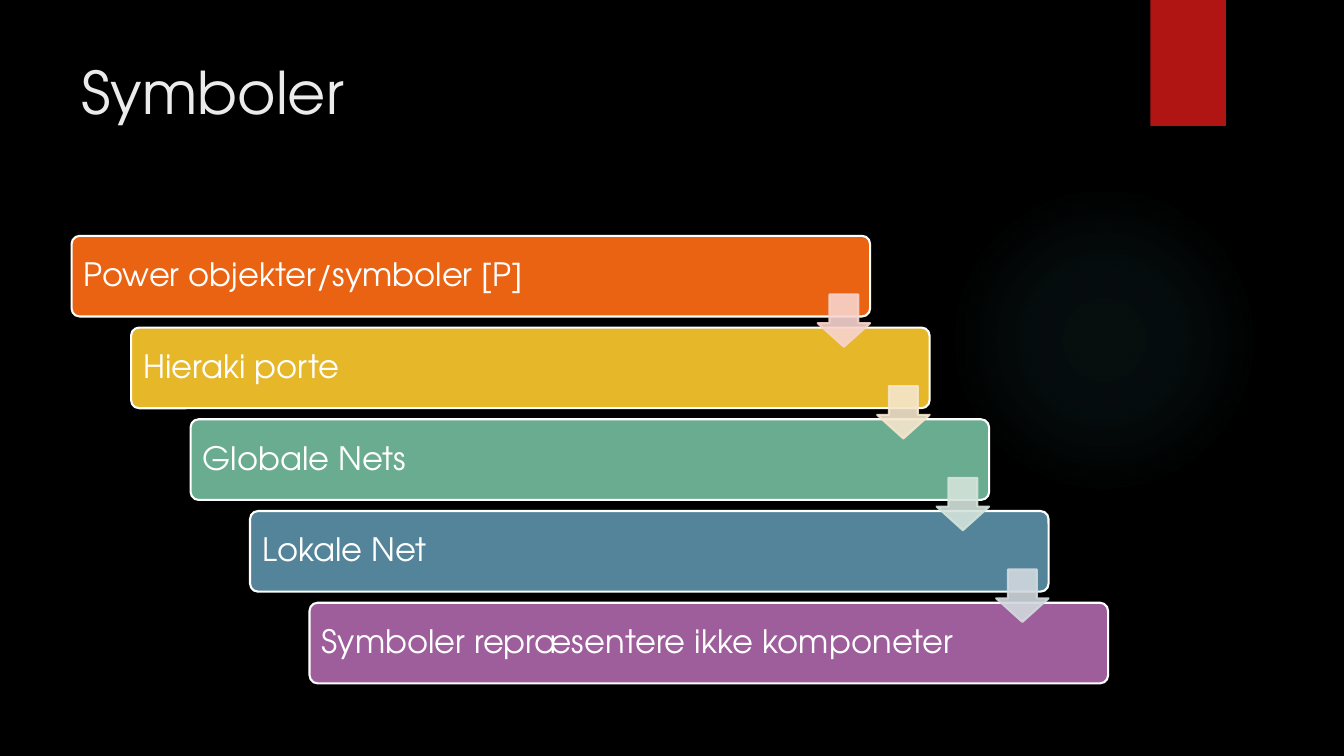
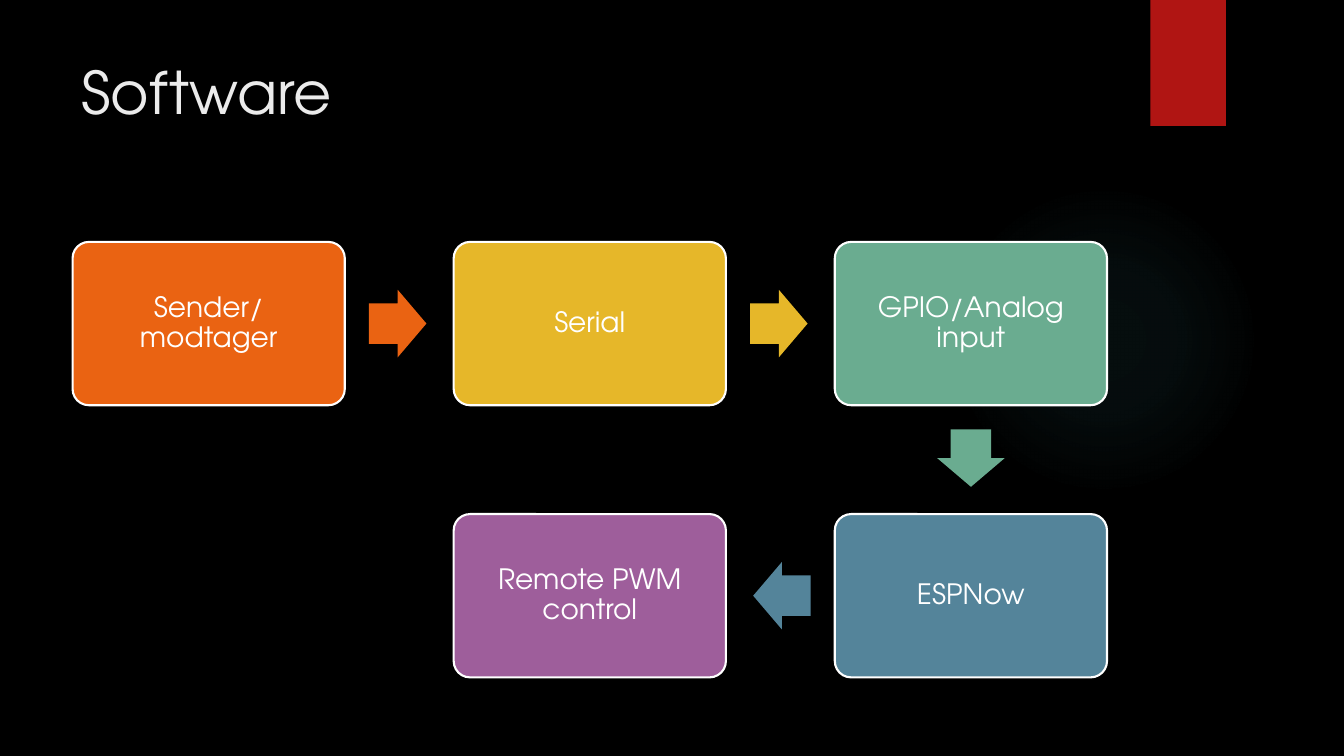
import math

import pptx
import pptx.dml.color
import pptx.enum.shapes
import pptx.enum.text
import pptx.oxml
import pptx.oxml.ns
import pptx.util
from pptx.util import Inches

# Content
STAIRCASE = {
    "title": "Symboler",
    "steps": [
        ("Power objekter/symboler [P]", "orange", "pale_orange"),
        ("Hieraki porte", "yellow", "pale_yellow"),
        ("Globale Nets", "green", "pale_green"),
        ("Lokale Net", "blue", "pale_blue"),
        ("Symboler repræsentere ikke komponeter", "purple", None),
    ],
}
PROCESS = {
    "title": "Software",
    "steps": [  # text, colour, column, row
        ("Sender/modtager", "orange", 0, 0),
        ("Serial", "yellow", 1, 0),
        ("GPIO/Analog input", "green", 2, 0),
        ("ESPNow", "blue", 2, 1),
        ("Remote PWM control", "purple", 1, 1),
    ],
}

# Shared style
FONT = "TeX Gyre Adventor"
COLOURS = {
    "background": "000000", "band": "B01513", "glow": "50B9C1",
    "title": "EBEBEB", "white": "FFFFFF",
    "orange": "EA6312", "yellow": "E6B729", "green": "6AAC90",
    "blue": "54849A", "purple": "9E5E9B",
    "pale_orange": "F7D3CC", "pale_yellow": "F5E6CD",
    "pale_green": "D4E3DB", "pale_blue": "D1D9DE",
}
GLOW_STOPS = [(0, 7), (36, 6), (69, 0)]  # position and opacity in percent
SHAPES = pptx.enum.shapes.MSO_SHAPE
ANCHORS = pptx.enum.text.MSO_ANCHOR
ALIGNMENTS = pptx.enum.text.PP_ALIGN


def rgb(name):
    return pptx.dml.color.RGBColor.from_string(COLOURS[name])


def write_text(shape, text, size, colour="white", align=ALIGNMENTS.LEFT,
               anchor=ANCHORS.MIDDLE, margin=0.1, spacing=0.9):
    frame = shape.text_frame
    frame.word_wrap = True
    frame.vertical_anchor = anchor
    frame.margin_left = frame.margin_right = Inches(margin)
    frame.margin_top = frame.margin_bottom = Inches(margin)
    paragraph = frame.paragraphs[0]
    paragraph.alignment = align
    paragraph.line_spacing = spacing
    run = paragraph.add_run()
    run.text = text
    run.font.name = FONT
    run.font.size = pptx.util.Pt(size)
    run.font.color.rgb = rgb(colour)


def add_shape(slide, kind, box, fill, line=None, adjustments=()):
    shape = slide.shapes.add_shape(kind, *(Inches(value) for value in box))
    shape.shadow.inherit = False
    shape.fill.solid()
    shape.fill.fore_color.rgb = rgb(fill)
    if line:
        shape.line.color.rgb = rgb(line)
        shape.line.width = pptx.util.Pt(1.5)
    else:
        shape.line.fill.background()
    for index, value in enumerate(adjustments):
        shape.adjustments[index] = value
    return shape


def set_opacity(shape, percent):
    for colour in shape.fill._xPr.iter(pptx.oxml.ns.qn("a:srgbClr")):
        alpha = colour.makeelement(pptx.oxml.ns.qn("a:alpha"), {"val": str(percent * 1000)})
        colour.append(alpha)


def add_glow(slide):
    glow = add_shape(slide, SHAPES.OVAL, (9.41, 1.83, 3.08, 3.08), "glow")
    stops = "".join(
        f'<a:gs pos="{position * 1000}"><a:srgbClr val="{COLOURS["glow"]}">'
        f'<a:alpha val="{opacity * 1000}"/></a:srgbClr></a:gs>'
        for position, opacity in GLOW_STOPS)
    gradient = pptx.oxml.parse_xml(
        f'<a:gradFill {pptx.oxml.ns.nsdecls("a")}><a:gsLst>{stops}</a:gsLst>'
        '<a:path path="circle"><a:fillToRect l="50000" t="50000" r="50000" b="50000"/>'
        '</a:path></a:gradFill>')
    properties = glow._element.spPr
    solid = properties.find(pptx.oxml.ns.qn("a:solidFill"))
    properties.replace(solid, gradient)


def add_slide(presentation, title):
    """Add a slide with the glow, the red band and the title."""
    slide = presentation.slides.add_slide(presentation.slide_layouts[6])
    add_glow(slide)
    add_shape(slide, SHAPES.RECTANGLE, (11.41, 0, 0.75, 1.25), "band")
    title_box = slide.shapes.add_textbox(
        Inches(0.71), Inches(0.5), Inches(10.29), Inches(1.53))
    write_text(title_box, title, 42, colour="title", anchor=ANCHORS.TOP,
               margin=0.1, spacing=1.0)
    title_box.text_frame.margin_top = Inches(0.05)
    return slide


def build_staircase(presentation):
    slide = add_slide(presentation, STAIRCASE["title"])
    left, top, width, height = 0.71, 2.34, 7.92, 0.8
    step_x, step_y, arrow_size, arrow_drop = 0.59, 0.91, 0.52, 0.58
    arrows = []
    for index, (text, colour, arrow_colour) in enumerate(STAIRCASE["steps"]):
        x, y = left + index * step_x, top + index * step_y
        bar = add_shape(slide, SHAPES.ROUNDED_RECTANGLE, (x, y, width, height),
                        colour, "white", [0.1])
        write_text(bar, text, 23)
        if arrow_colour:
            arrows.append((x + width - arrow_size, y + arrow_drop, arrow_colour))
    # Arrows lie over the bars
    for x, y, colour in arrows:
        arrow = add_shape(slide, SHAPES.DOWN_ARROW, (x, y, arrow_size, arrow_size),
                          colour, colour, [0.55, 0.45])
        set_opacity(arrow, 90)


def build_process(presentation):
    slide = add_slide(presentation, PROCESS["title"])
    left, top, width, height = 0.72, 2.4, 2.7, 1.62
    step_x, step_y = 3.78, 2.7
    arrow_width, arrow_height, arrow_pullback = 0.57, 0.67, 0.015
    steps = PROCESS["steps"]
    for text, colour, column, row in steps:
        box = (left + column * step_x, top + row * step_y, width, height)
        card = add_shape(slide, SHAPES.ROUNDED_RECTANGLE, box, colour, "white", [0.1])
        write_text(card, text, 20, align=ALIGNMENTS.CENTER, margin=0.08)
    # Each arrow sits midway between two cards and points at the next
    for (_, colour, column, row), (_, _, next_column, next_row) in zip(steps, steps[1:]):
        across, down = next_column - column, next_row - row
        center_x = left + width / 2 + (column + across / 2) * step_x - across * arrow_pullback
        center_y = top + height / 2 + (row + down / 2) * step_y - down * arrow_pullback
        box = (center_x - arrow_width / 2, center_y - arrow_height / 2,
               arrow_width, arrow_height)
        arrow = add_shape(slide, SHAPES.RIGHT_ARROW, box, colour, adjustments=[0.6, 0.5])
        arrow.rotation = math.degrees(math.atan2(down, across))


def main():
    presentation = pptx.Presentation()
    presentation.slide_width = Inches(13.33)
    presentation.slide_height = Inches(7.5)
    background = presentation.slide_master.background.fill
    background.solid()
    background.fore_color.rgb = rgb("background")
    build_staircase(presentation)
    build_process(presentation)
    presentation.save("out.pptx")


if __name__ == "__main__":
    main()
